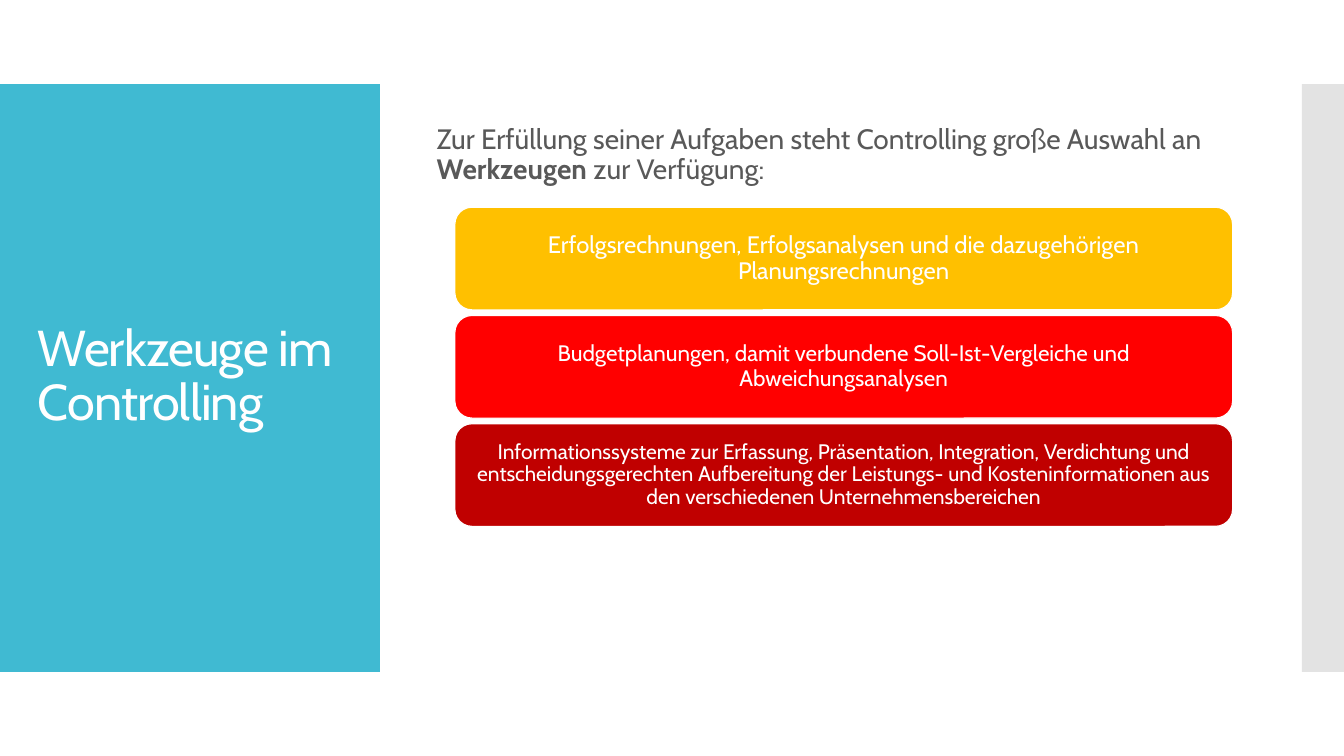
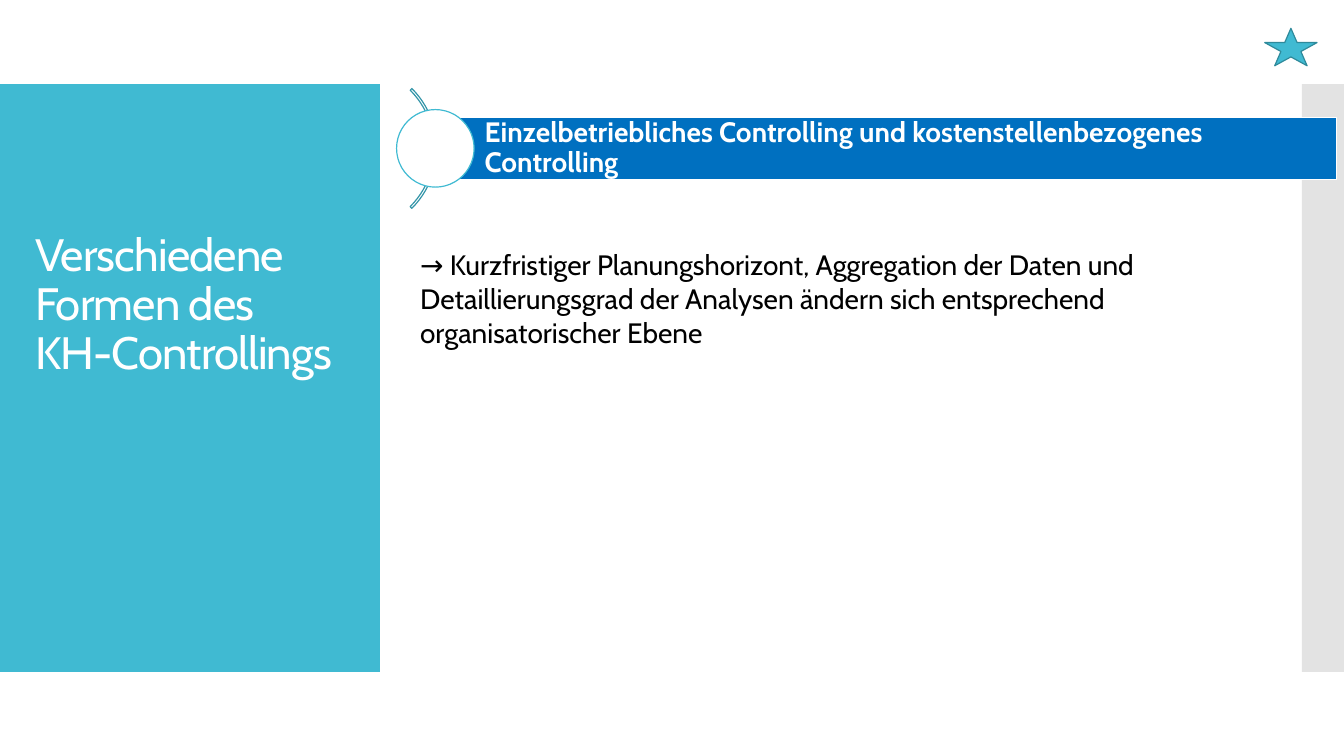
from lxml import etree
from pptx import Presentation
from pptx.dml.color import RGBColor
from pptx.enum.shapes import MSO_SHAPE as Preset
from pptx.enum.text import MSO_ANCHOR as Anchor, PP_ALIGN as Align
from pptx.oxml.ns import qn
from pptx.util import Pt

FONT = "Cabin"
WHITE = RGBColor(0xFF, 0xFF, 0xFF)
BLACK = RGBColor(0x00, 0x00, 0x00)
TEAL = RGBColor(0x40, 0xBA, 0xD2)
ARC_TEAL = RGBColor(0x33, 0x95, 0xA8)
STAR_TEAL = RGBColor(0x2F, 0x8A, 0x9B)
STRIP_GREY = RGBColor(0xC8, 0xC8, 0xC8)
TEXT_GREY = RGBColor(0x59, 0x59, 0x59)
BLUE = RGBColor(0x00, 0x70, 0xC0)
AMBER = RGBColor(0xFF, 0xC0, 0x00)
RED = RGBColor(0xFF, 0x00, 0x00)
DARK_RED = RGBColor(0xC0, 0x00, 0x00)

SLIDE_WIDTH, SLIDE_HEIGHT = 960, 540
BAND_TOP, BAND_HEIGHT = 60, 420
PANEL_WIDTH, STRIP_WIDTH = 271.3, 30
LINE_WIDTH = 0.85

TOOLS = [
    ("Erfolgsrechnungen, Erfolgsanalysen und die dazugehörigen Planungsrechnungen", 17, AMBER),
    ("Budgetplanungen, damit verbundene Soll-Ist-Vergleiche und Abweichungsanalysen", 16, RED),
    ("Informationssysteme zur Erfassung, Präsentation, Integration, Verdichtung und "
     "entscheidungsgerechten Aufbereitung der Leistungs- und Kosteninformationen aus "
     "den verschiedenen Unternehmensbereichen", 15, DARK_RED),
]


def add_preset(slide, preset, box, fill=None, line=None):
    """Add a preset shape with an optional fill and outline."""
    shape = slide.shapes.add_shape(preset, *map(Pt, box))
    shape.shadow.inherit = False
    if fill is None:
        shape.fill.background()
    else:
        shape.fill.solid()
        shape.fill.fore_color.rgb = fill
    if line is None:
        shape.line.fill.background()
    else:
        shape.line.color.rgb = line
        shape.line.width = Pt(LINE_WIDTH)
    return shape


def set_frame(shape, anchor, margins=(7.2, 3.6, 7.2, 3.6)):
    """Prepare a wrapping text frame and return it."""
    frame = shape.text_frame
    frame.word_wrap = True
    frame.vertical_anchor = anchor
    (frame.margin_left, frame.margin_top,
     frame.margin_right, frame.margin_bottom) = map(Pt, margins)
    return frame


def add_run(paragraph, text, size, color, bold=False):
    """Append a run in the deck font."""
    run = paragraph.add_run()
    run.text = text
    run.font.name = FONT
    run.font.size = Pt(size)
    run.font.color.rgb = color
    run.font.bold = bold
    return run


def add_text(slide, box, runs, size, color, anchor, line_spacing=None):
    """Add a text box with one paragraph of (text, bold) runs."""
    textbox = slide.shapes.add_textbox(*map(Pt, box))
    paragraph = set_frame(textbox, anchor).paragraphs[0]
    paragraph.line_spacing = line_spacing
    for text, bold in runs:
        add_run(paragraph, text, size, color, bold)


def add_title(slide, box, lines, size):
    """Add the white, slightly condensed slide title."""
    textbox = slide.shapes.add_textbox(*map(Pt, box))
    paragraph = set_frame(textbox, Anchor.MIDDLE).paragraphs[0]
    paragraph.line_spacing = 0.9
    for index, line in enumerate(lines):
        if index:
            paragraph.add_line_break()
        run = add_run(paragraph, line, size, WHITE)
        run.font._element.set("spc", "-60")


def add_base_slide(presentation):
    """Add a blank slide with the title panel and the right strip."""
    slide = presentation.slides.add_slide(presentation.slide_layouts[6])
    add_preset(slide, Preset.RECTANGLE, (0, BAND_TOP, PANEL_WIDTH, BAND_HEIGHT), TEAL)
    strip = add_preset(slide, Preset.RECTANGLE,
                       (SLIDE_WIDTH - STRIP_WIDTH, BAND_TOP, STRIP_WIDTH, BAND_HEIGHT),
                       STRIP_GREY)
    color = strip.fill._xPr.find(qn("a:solidFill")).find(qn("a:srgbClr"))
    etree.SubElement(color, qn("a:alpha")).set("val", "50000")
    return slide


def add_tool_stack(slide, box, tools, gap):
    """Stack equally high rounded bars inside the box."""
    left, top, width, height = box
    bar_height = (height - gap * (len(tools) - 1)) / len(tools)
    for index, (text, size, color) in enumerate(tools):
        bar_top = top + index * (bar_height + gap)
        bar = add_preset(slide, Preset.ROUNDED_RECTANGLE,
                         (left, bar_top, width, bar_height), color, WHITE)
        paragraph = set_frame(bar, Anchor.MIDDLE, (4.5, 2.5, 4.5, 2.5)).paragraphs[0]
        paragraph.alignment = Align.CENTER
        paragraph.line_spacing = 0.9
        add_run(paragraph, text, size, WHITE)


def add_arc_banner(slide, box, text):
    """Add a banner with a circle on its left end and an arc behind it."""
    left, top, width, height = box
    middle = top + height / 2
    arc_size, circle_size = 121, 55.4
    arc = add_preset(slide, Preset.BLOCK_ARC,
                     (left - arc_size + 0.9, middle - arc_size / 2, arc_size, arc_size),
                     line=ARC_TEAL)
    for index, value in enumerate((189, 27, 0.014)):
        arc.adjustments[index] = value
    banner = add_preset(slide, Preset.RECTANGLE, box, BLUE, WHITE)
    paragraph = set_frame(banner, Anchor.MIDDLE, (35.2, 4, 4, 4)).paragraphs[0]
    paragraph.alignment = Align.LEFT
    paragraph.line_spacing = 0.9
    add_run(paragraph, text, 20, WHITE, True)
    add_preset(slide, Preset.OVAL,
               (left - circle_size / 2, middle - circle_size / 2, circle_size, circle_size),
               WHITE, TEAL)


def build_tools_slide(presentation):
    """Build the slide on controlling tools."""
    slide = add_base_slide(presentation)
    add_title(slide, (20, 88.5, 232, 362), ["Werkzeuge im Controlling"], 36)
    add_text(slide, (304.8, 67.6, 576, 86.4),
             [("Zur Erfüllung seiner Aufgaben steht Controlling große Auswahl an ", False),
              ("Werkzeugen ", True), ("zur Verfügung:", False)],
             20, TEXT_GREY, Anchor.MIDDLE, 0.9)
    add_tool_stack(slide, (324.9, 148, 555.6, 228), TOOLS, 4)


def build_forms_slide(presentation):
    """Build the slide on the forms of controlling."""
    slide = add_base_slide(presentation)
    add_title(slide, (18, 161.3, 810.7, 114.5),
              ["Verschiedene ", "Formen des ", "KH-Controllings"], 32.4)
    add_arc_banner(slide, (311, 84, 643.5, 44),
                   "Einzelbetriebliches Controlling und kostenstellenbezogenes Controlling")
    add_text(slide, (293, 173.5, 633.6, 101.5),
             [("→ Kurzfristiger Planungshorizont, Aggregation der Daten und "
               "Detaillierungsgrad der Analysen ändern sich entsprechend "
               "organisatorischer Ebene", False)],
             20, BLACK, Anchor.TOP)
    add_preset(slide, Preset.STAR_5_POINT, (903.4, 20.2, 37.4, 26.8), TEAL, STAR_TEAL)


def main():
    """Create and save the presentation."""
    presentation = Presentation()
    presentation.slide_width = Pt(SLIDE_WIDTH)
    presentation.slide_height = Pt(SLIDE_HEIGHT)
    build_tools_slide(presentation)
    build_forms_slide(presentation)
    presentation.save("out.pptx")


main()
